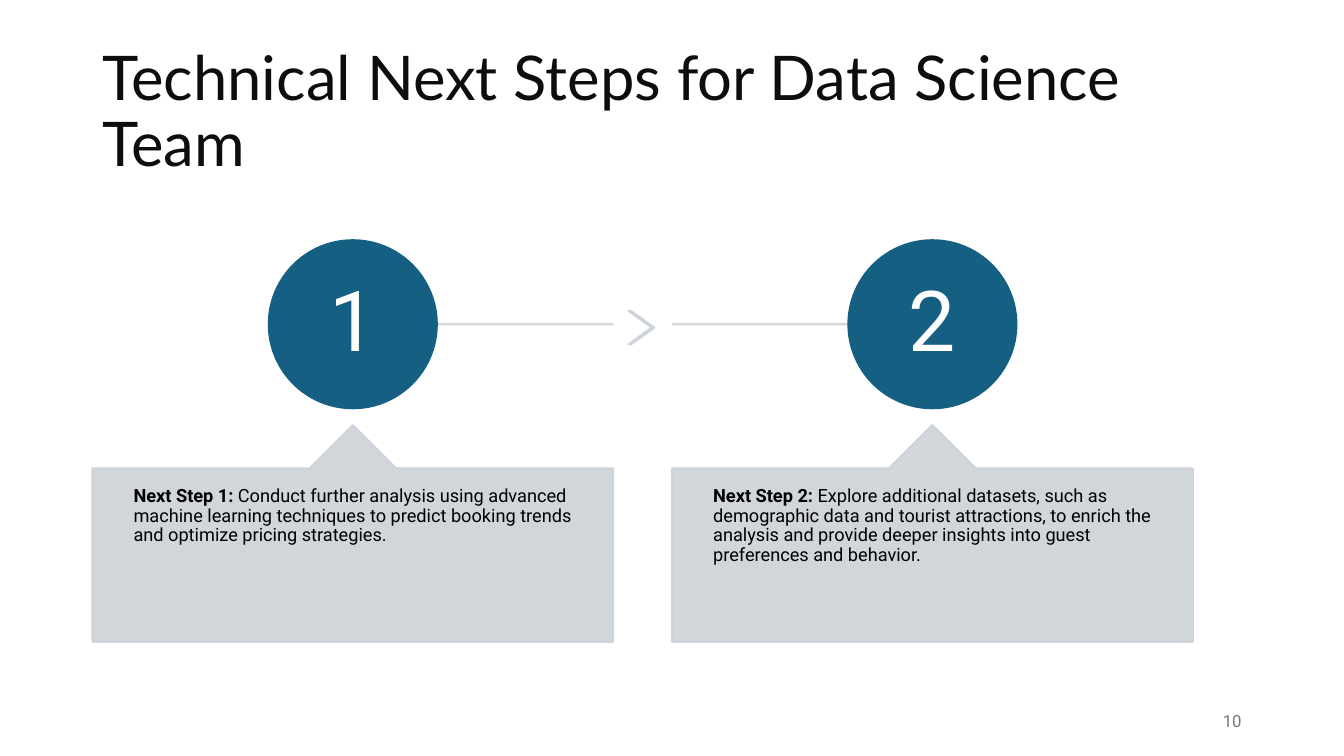
"""Build a slide with two numbered next steps for a data science team."""
import pptx
import pptx.util
import pptx.dml.color
import pptx.enum.shapes
import pptx.enum.text
import pptx.oxml
import pptx.oxml.ns

RGBColor = pptx.dml.color.RGBColor
SHAPE = pptx.enum.shapes.MSO_SHAPE
ALIGN = pptx.enum.text.PP_ALIGN
ANCHOR = pptx.enum.text.MSO_ANCHOR
Pt = pptx.util.Pt

TEAL = RGBColor(0x15, 0x60, 0x82)
SILVER = RGBColor(0xCC, 0xD2, 0xD8)
INK = RGBColor(0x0D, 0x0D, 0x0D)
BLACK = RGBColor(0, 0, 0)
WHITE = RGBColor(0xFF, 0xFF, 0xFF)
GREY = RGBColor(0x79, 0x79, 0x79)

prs = pptx.Presentation()
prs.slide_width = pptx.util.Inches(13.333)
prs.slide_height = pptx.util.Inches(7.5)
UNIT = prs.slide_height / 90
STEP = 69

STEPS = [
    ("Next Step 1:", " Conduct further analysis using advanced machine learning "
     "techniques to predict booking trends and optimize pricing strategies.", 45.5, 73),
    ("Next Step 2:", " Explore additional datasets, such as demographic data and "
     "tourist attractions, to enrich the analysis and provide deeper insights into "
     "guest preferences and behavior.", 80, 111),
]


def grid(*cells):
    return [round(cell * UNIT) for cell in cells]


def write(tf, *texts, size, color, font="Roboto", align=ALIGN.LEFT,
          anchor=ANCHOR.MIDDLE, insets=(1.2, 0.6), spacing=0.9, bold_first=False):
    tf.word_wrap = True
    tf.auto_size = pptx.enum.text.MSO_AUTO_SIZE.NONE
    tf.vertical_anchor = anchor
    tf.margin_left, tf.margin_top = grid(*insets)
    tf.margin_right, tf.margin_bottom = grid(*insets)
    p = tf.paragraphs[0]
    p.alignment = align
    p.line_spacing = spacing
    for i, text in enumerate(texts):
        r = p.add_run()
        r.text = text
        r.font.name = font
        r.font.size = Pt(size)
        r.font.color.rgb = color
        r.font.bold = bold_first and i == 0


s = prs.slides.add_slide(prs.slide_layouts[5])
title = s.shapes.title
title.left, title.top, title.width, title.height = grid(11, 4.8, 138, 17.4)
write(title.text_frame, "Technical Next Steps for Data Science Team",
      size=44, color=INK, font="Lato")

silver_parts = []
for i, (label, detail, start, end) in enumerate(STEPS):
    line = s.shapes.add_connector(pptx.enum.shapes.MSO_CONNECTOR.STRAIGHT,
                                  *grid(start, 38.6, end, 38.6))
    line.line.color.rgb = SILVER
    line.line.width = Pt(1.5)
    line._element.spPr.append(pptx.oxml.parse_xml(
        "<a:effectLst %s/>" % pptx.oxml.ns.nsdecls("a")))

    circle = s.shapes.add_shape(SHAPE.OVAL, *grid(32 + i * STEP, 28.6, 20, 20))
    circle.shadow.inherit = False
    circle.fill.solid()
    circle.fill.fore_color.rgb = TEAL
    circle.line.color.rgb = TEAL
    circle.line.width = Pt(1.5)
    write(circle.text_frame, str(i + 1), size=60, color=WHITE,
          align=ALIGN.CENTER, insets=(0.8, 0.8))

    callout = s.shapes.add_shape(SHAPE.UP_ARROW_CALLOUT,
                                 *grid(11 + i * STEP, 50.6, 62, 25.8))
    for k, value in enumerate((0.5, 0.2, 0.2, 1)):
        callout.adjustments[k] = value
    write(callout.text_frame, label, detail, size=13, color=BLACK,
          anchor=ANCHOR.TOP, insets=(4.9, 2.2), bold_first=True)
    silver_parts += [line, callout]

chevron = s.shapes.add_shape(SHAPE.CHEVRON, *grid(74.8, 37, 3.1, 4))
chevron.adjustments[0] = 0.9
silver_parts.append(chevron)

for part in silver_parts:
    if part not in (silver_parts[0], silver_parts[2]):
        part.shadow.inherit = False
        part.fill.solid()
        part.fill.fore_color.rgb = SILVER
        part.line.color.rgb = SILVER
        part.line.width = Pt(1.5)
    for color in part._element.spPr.iter(pptx.oxml.ns.qn("a:srgbClr")):
        color.append(pptx.oxml.parse_xml(
            '<a:alpha %s val="90000"/>' % pptx.oxml.ns.nsdecls("a")))

number = s.shapes.add_textbox(*grid(113, 83.4, 36, 4.8))
write(number.text_frame, "10", size=12, color=GREY, align=ALIGN.RIGHT, spacing=1.0)

prs.save("out.pptx")
